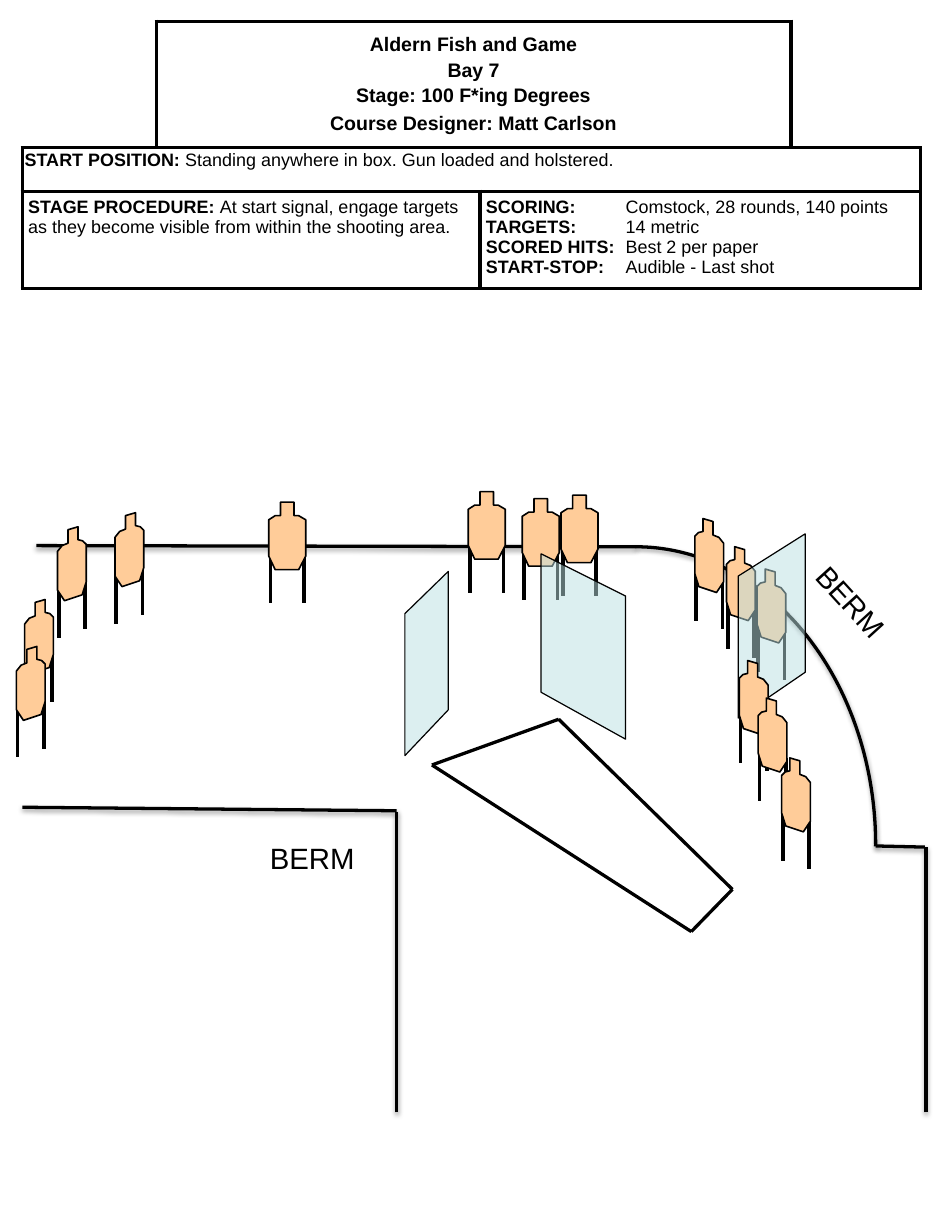
from dataclasses import dataclass

from lxml.etree import SubElement
from pptx import Presentation
from pptx.dml.color import RGBColor
from pptx.enum.shapes import MSO_CONNECTOR, MSO_SHAPE
from pptx.enum.text import MSO_ANCHOR, MSO_AUTO_SIZE, PP_ALIGN
from pptx.oxml import parse_xml
from pptx.oxml.ns import nsdecls, qn
from pptx.util import Inches, Pt

COLORS = {"ink": "000000", "paper": "FFFFFF", "cardboard": "FFCC99", "wall": "BBE0E3"}
COLUMNS, ROWS, UNIT = 80, 105, 0.1
FRONT_BODY = [(1, 0), (2.15, 0), (2.15, 1.15), (2.55, 1.15), (3.15, 1.5), (3.15, 4.6),
              (2.55, 5.75), (0.55, 5.75), (0, 4.6), (0, 1.5), (0.55, 1.15), (1, 1.15)]
FRONT_LEGS = [(0.15, 4.25), (3, 4.25)]
SLANT_BODY = [(0.9, 0.25), (1.75, 0), (1.75, 1.1), (2.15, 1.2), (2.45, 1.5), (2.45, 4.7),
              (2.1, 5.8), (0.6, 6.3), (0, 5.4), (0, 2.1), (0.4, 1.6), (0.9, 1.4)]
SLANT_LEGS = [(0.1, 5.1), (2.35, 4.4)]
SLANT_WIDTH, LEG_LENGTH = 2.45, 4.35


@dataclass
class Box:
    """A region of the slide, in grid columns and rows."""
    left: float
    top: float

    def point(self, column, row):
        """Return the slide position of a point in the region."""
        return span(self.left + column), span(self.top + row)


def span(units):
    """Turn grid units into a length."""
    return Inches(units * UNIT)


def color(name):
    """Look up a colour by its role."""
    return RGBColor.from_string(COLORS[name])


def ink_line(shape, weight, shadowed=False):
    """Give a shape its outline and, for berms, a soft shadow."""
    shape.line.color.rgb = color("ink")
    shape.line.width = Pt(weight)
    effects = SubElement(shape._element.spPr, qn("a:effectLst"))
    if shadowed:
        effects.append(parse_xml(
            f'<a:outerShdw {nsdecls("a")} blurRad="{Pt(3.1)}" dist="{Pt(1.6)}" '
            f'dir="5400000" rotWithShape="0"><a:srgbClr val="{COLORS["ink"]}">'
            '<a:alpha val="38000"/></a:srgbClr></a:outerShdw>'))


def draw_line(shapes, box, start, end, weight=2, shadowed=False):
    """Draw a straight line between two points of a region."""
    line = shapes.add_connector(MSO_CONNECTOR.STRAIGHT, *box.point(*start), *box.point(*end))
    ink_line(line, weight, shadowed)


def draw_outline(shapes, box, points, fill, weight):
    """Draw a closed, filled outline."""
    corners = [box.point(*point) for point in points]
    builder = shapes.build_freeform(*corners[0], scale=1.0)
    builder.add_line_segments(corners[1:], close=True)
    outline = builder.convert_to_shape()
    outline.fill.solid()
    outline.fill.fore_color.rgb = color(fill)
    ink_line(outline, weight)
    return outline


def add_run(paragraph, text, size, bold=False):
    """Add one run of text."""
    run = paragraph.add_run()
    run.text = text
    run.font.name, run.font.size, run.font.bold = "Arial", Pt(size), bold
    run.font.color.rgb = color("ink")


def set_borders(cell, sides):
    """Rule the named sides of a cell and clear the others."""
    properties = cell._tc.get_or_add_tcPr()
    for index, side in enumerate("LRTB"):
        paint = (f'<a:solidFill><a:srgbClr val="{COLORS["ink"]}"/></a:solidFill>'
                 if side in sides else "<a:noFill/>")
        properties.insert(index, parse_xml(
            f'<a:ln{side} {nsdecls("a")} w="{Pt(2.25)}">{paint}</a:ln{side}>'))


def write_cell(cell, paragraphs, size, margins=(0.5, 0.5)):
    """Fill a cell with paragraphs of a bold lead and a plain rest."""
    cell.margin_left = cell.margin_right = span(margins[0])
    cell.margin_top = cell.margin_bottom = span(margins[1])
    for index, (lead, rest) in enumerate(paragraphs):
        frame = cell.text_frame
        paragraph = frame.add_paragraph() if index else frame.paragraphs[0]
        add_run(paragraph, lead, size, True)
        if rest:
            add_run(paragraph, rest, size)


def stage_sheet(slide, box):
    """Build the table with heading, start position, procedure and scoring."""
    widths, heights = (11.4, 27.6, 26.5, 11), (10.8, 3.7, 8.3)
    table = slide.shapes.add_table(
        3, 4, *box.point(0, 0), span(sum(widths)), span(sum(heights))).table
    table.first_row = table.horz_banding = False
    for column, width in zip(table.columns, widths):
        column.width = span(width)
    for row, height in zip(table.rows, heights):
        row.height = span(height)
    for row in range(3):
        for column in range(4):
            cell = table.cell(row, column)
            cell.fill.solid()
            cell.fill.fore_color.rgb = color("paper")
            set_borders(cell, {(0, 0): "RB", (0, 3): "LB"}.get((row, column), "LRTB"))
    for row, first, last in [(0, 1, 2), (1, 0, 3), (2, 0, 1), (2, 2, 3)]:
        table.cell(row, first).merge(table.cell(row, last))

    heading = table.cell(0, 1)
    heading.vertical_anchor = MSO_ANCHOR.MIDDLE
    write_cell(heading, [("Aldern Fish and Game", ""), ("Bay 7", ""),
                         ("Stage: 100 F*ing Degrees", ""),
                         ("Course Designer: Matt Carlson", "")], 12)
    for paragraph, gap in zip(heading.text_frame.paragraphs, (0, 2, 2, 4)):
        paragraph.alignment = PP_ALIGN.CENTER
        paragraph.space_before = Pt(gap)

    start = table.cell(1, 0)
    write_cell(start, [("START POSITION:",
                        " Standing anywhere in box. Gun loaded and holstered.")], 11, (0.2, 0.4))
    start.text_frame.paragraphs[0].line_spacing = 0.9
    write_cell(table.cell(2, 0), [
        ("STAGE PROCEDURE: ", "At start signal, engage targets as they become visible "
                              "from within the shooting area.")], 11)
    scoring = table.cell(2, 2)
    write_cell(scoring, [("SCORING:\t", "Comstock, 28 rounds, 140 points"),
                         ("TARGETS:\t", "14 metric"),
                         ("SCORED HITS:\t", "Best 2 per paper"),
                         ("START-STOP:\t", "Audible - Last shot")], 11)
    for paragraph in scoring.text_frame.paragraphs:
        stops = SubElement(paragraph._p.get_or_add_pPr(), qn("a:tabLst"))
        SubElement(stops, qn("a:tab"), pos=str(span(11.9)), algn="l")


def draw_target(slide, box, kind):
    """Draw a target on two legs, facing front, left or right."""
    body, legs = (FRONT_BODY, FRONT_LEGS) if kind == "front" else (SLANT_BODY, SLANT_LEGS)
    if kind == "right":
        body, legs = ([(SLANT_WIDTH - x, y) for x, y in part] for part in (body, legs))
    shapes = slide.shapes.add_group_shape().shapes
    for x, y in legs:
        draw_line(shapes, box, (x, y), (x, y + LEG_LENGTH), 2.25)
    draw_outline(shapes, box, body, "cardboard", 1)


def draw_wall(slide, box, corners):
    """Draw a see-through wall."""
    wall = draw_outline(slide.shapes, box, corners, "wall", 0.75)
    tint = wall._element.spPr.find(qn("a:solidFill")).find(qn("a:srgbClr"))
    SubElement(tint, qn("a:alpha"), val="50000")


def draw_berms(slide, box):
    """Draw the berms around the bay and their labels."""
    bend = slide.shapes.add_shape(MSO_SHAPE.ARC, *box.point(33.7, 6.6), span(40.9), span(50.8))
    bend.adjustments[0], bend.adjustments[1] = 162, 0.24
    bend.fill.background()
    ink_line(bend, 2, True)
    for start, end in [((54.2, 6.6), (3.1, 6.5)), ((33.8, 54.8), (33.8, 29.2)),
                       ((33.8, 29.1), (1.9, 28.8)), ((78.9, 54.8), (78.9, 32.2)),
                       ((78.8, 32.2), (74.6, 32.1))]:
        draw_line(slide.shapes, box, start, end, shadowed=True)
    for column, row, turn in [(22, 31.1, 0), (67.8, 9.5, 47.7)]:
        label = slide.shapes.add_textbox(*box.point(column, row), span(9.8), span(4))
        label.rotation = turn
        label.text_frame.word_wrap = True
        label.text_frame.auto_size = MSO_AUTO_SIZE.SHAPE_TO_FIT_TEXT
        add_run(label.text_frame.paragraphs[0], "BERM", 18)


def shooting_bay(slide, box):
    """Draw the bay: berms, shooting area, targets and walls."""
    draw_berms(slide, box)
    area = [(47.6, 21.3), (62.4, 35.8), (58.9, 39.4), (36.8, 25.2)]
    for start, end in zip(area, area[1:] + area[:1]):
        draw_line(slide.shapes, box, start, end)
    behind_walls = [("front", 47.8, 2.2), ("left", 4.9, 4.9), ("left", 9.8, 3.7),
                    ("left", 2.1, 11.1), ("front", 39.9, 1.9), ("front", 44.5, 2.5),
                    ("right", 61.9, 6.6), ("right", 64.5, 8.5), ("front", 22.9, 2.8),
                    ("right", 59.2, 4.2), ("left", 1.4, 15.1)]
    before_walls = [("right", 63, 16.3), ("right", 64.6, 19.5), ("right", 66.6, 24.6)]
    walls = [[(62.9, 21.2), (62.9, 9.1), (68.6, 5.5), (68.6, 17.3)],
             [(34.5, 24.4), (34.5, 12.3), (38.2, 8.7), (38.2, 20.5)],
             [(53.3, 23), (53.3, 10.8), (46.1, 7.2), (46.1, 19)]]
    for kind, column, row in behind_walls:
        draw_target(slide, Box(box.left + column, box.top + row), kind)
    for corners in walls:
        draw_wall(slide, box, corners)
    for kind, column, row in before_walls:
        draw_target(slide, Box(box.left + column, box.top + row), kind)


def main():
    """Build and save the stage sheet."""
    deck = Presentation()
    deck.slide_width, deck.slide_height = span(COLUMNS), span(ROWS)
    slide = deck.slides.add_slide(deck.slide_layouts[6])
    stage_sheet(slide, Box(1.9, 1.8))
    shooting_bay(slide, Box(0, 40))
    deck.save("out.pptx")


if __name__ == "__main__":
    main()
